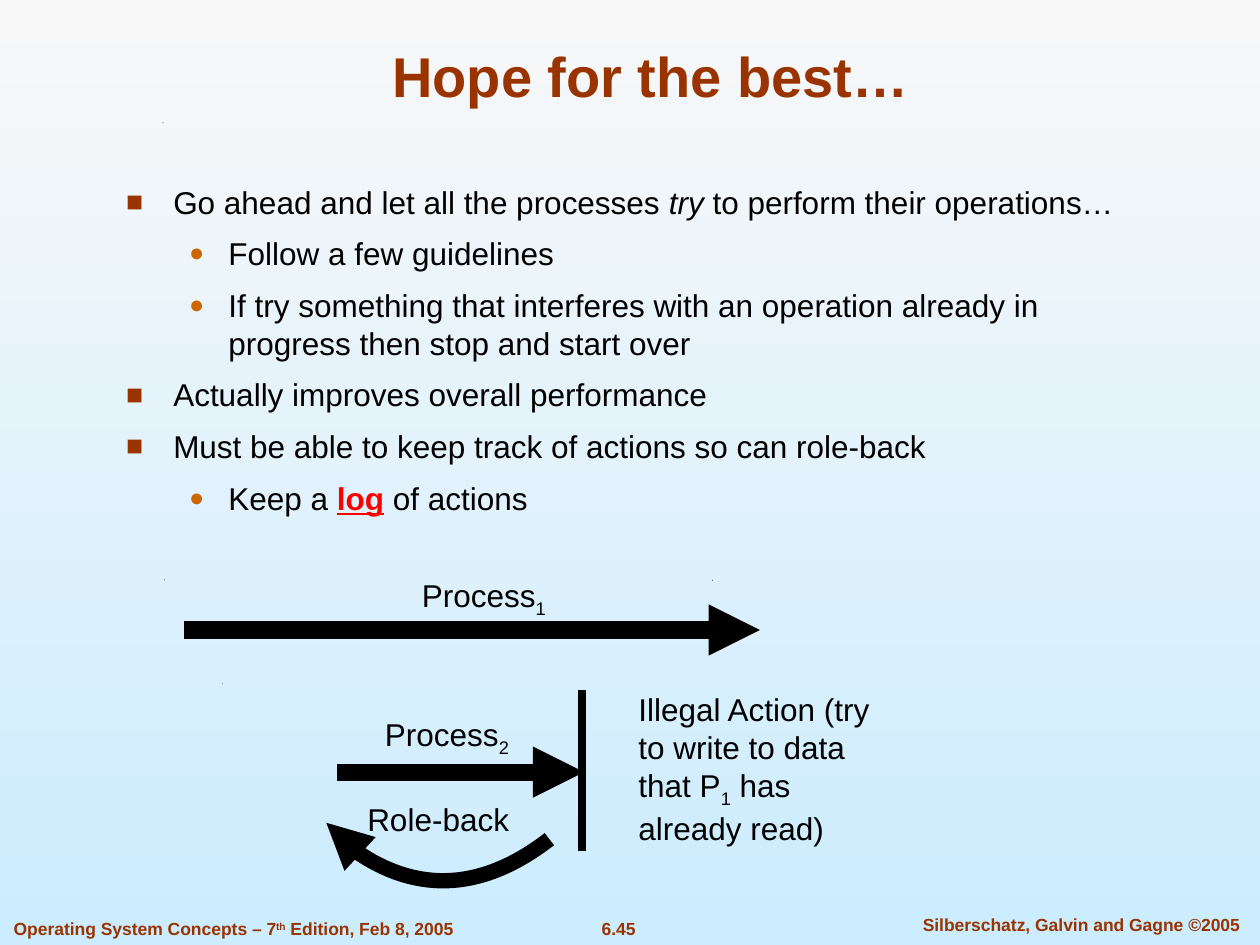
from dataclasses import dataclass

import pptx
import pptx.dml.color
import pptx.enum.dml
import pptx.enum.shapes
import pptx.enum.text
import pptx.oxml
import pptx.oxml.ns
import pptx.util

Pt = pptx.util.Pt
Align = pptx.enum.text.PP_ALIGN
COLORS = {
    "ink": "000000", "rust": "993300", "orange": "CC6600", "red": "FF0000",
    "sky_top": "F8F8F8", "sky_bottom": "CCECFF",
}
FONT = "Arial"


@dataclass
class Piece:
    """A stretch of text; baseline is in percent, negative for subscripts."""
    text: str
    color: str = "ink"
    bold: bool = False
    italic: bool = False
    underline: bool = False
    baseline: int = 0


@dataclass
class Bullet:
    level: int
    pieces: list[Piece]


@dataclass
class Label:
    left: float
    top: float
    width: float
    height: float
    pieces: list[Piece]
    size: float = 18
    wrap: bool = False
    align: Align = Align.LEFT


@dataclass
class Line:
    start: tuple[float, float]
    end: tuple[float, float]
    weight: float
    arrow: bool


@dataclass
class BulletStyle:
    margin: float
    hanging: float
    symbol: str
    color: str
    percent: int


BULLET_STYLES = [
    BulletStyle(27, 27, "■", "rust", 90),
    BulletStyle(58.5, 22.5, "●", "orange", 80),
]
BULLETS = [
    Bullet(0, [Piece("Go ahead and let all the processes "), Piece("try", italic=True),
               Piece(" to perform their operations…")]),
    Bullet(1, [Piece("Follow a few guidelines")]),
    Bullet(1, [Piece("If try something that interferes with an operation already in "
                     "progress then stop and start over")]),
    Bullet(0, [Piece("Actually improves overall performance")]),
    Bullet(0, [Piece("Must be able to keep track of actions so can role-back")]),
    Bullet(1, [Piece("Keep a "), Piece("log", "red", bold=True, underline=True),
               Piece(" of actions")]),
]
LABELS = [
    Label(318.2, 521, 70.6, 19.4, [Piece("6.45", "rust", True)], 10, align=Align.CENTER),
    Label(511, 518.8, 213.8, 19.4,
          [Piece("Silberschatz, Galvin and Gagne ©2005", "rust", True)],
          10, wrap=True, align=Align.CENTER),
    Label(0.7, 521, 265.7, 19.4,
          [Piece("Operating System Concepts – 7", "rust", True),
           Piece("th", "rust", True, baseline=30),
           Piece(" Edition, Feb 8, 2005", "rust", True)], 10),
    Label(234, 325.5, 85, 31.7, [Piece("Process"), Piece("1", baseline=-25)]),
    Label(212.9, 405, 85, 31.7, [Piece("Process"), Piece("2", baseline=-25)]),
    Label(357.8, 391, 146.2, 96.5,
          [Piece("Illegal Action (try to write to data that P"),
           Piece("1", baseline=-25), Piece(" has already read)")], wrap=True),
    Label(202.8, 453.6, 98, 28.8, [Piece("Role-back")]),
]
LINES = [
    Line((105, 360), (434.2, 360), 9.75, True),
    Line((192.5, 441.2), (333.8, 441.2), 9.75, True),
    Line((332.6, 394.3), (332.6, 486), 5, False),
]
ROLL_BACK_CURVE = [(313.92, 479.52), (272.16, 511.92), (215.28, 507.6), (186.48, 470.16)]
SPECKS = [(126.9, 390.6), (93.8, 331.2), (407, 331.4), (92.9, 70)]


def rgb(name: str) -> pptx.dml.color.RGBColor:
    return pptx.dml.color.RGBColor.from_string(COLORS[name])


def place(shape, left: float, top: float, width: float, height: float) -> None:
    shape.left, shape.top, shape.width, shape.height = map(Pt, (left, top, width, height))


def write_pieces(paragraph, pieces: list[Piece], size: float) -> None:
    for piece in pieces:
        run = paragraph.add_run()
        run.text = piece.text
        font = run.font
        font.name, font.size = FONT, Pt(size)
        font.bold, font.italic, font.underline = piece.bold, piece.italic, piece.underline
        font.color.rgb = rgb(piece.color)
        if piece.baseline:
            run._r.get_or_add_rPr().set("baseline", str(piece.baseline * 1000))


def set_bullet(paragraph, style: BulletStyle) -> None:
    properties = paragraph._p.get_or_add_pPr()
    properties.set("marL", str(Pt(style.margin)))
    properties.set("indent", str(-Pt(style.hanging)))
    namespace = pptx.oxml.ns.nsdecls("a")
    for xml in (
        f'<a:buClr {namespace}><a:srgbClr val="{COLORS[style.color]}"/></a:buClr>',
        f'<a:buSzPct {namespace} val="{style.percent * 1000}"/>',
        f'<a:buFont {namespace} typeface="{FONT}"/>',
        f'<a:buChar {namespace} char="{style.symbol}"/>',
    ):
        properties.append(pptx.oxml.parse_xml(xml))


def fill_title(title) -> None:
    place(title, 54, 17.6, 635.8, 48.2)
    frame = title.text_frame
    frame.auto_size = pptx.enum.text.MSO_AUTO_SIZE.NONE
    frame.vertical_anchor = pptx.enum.text.MSO_ANCHOR.BOTTOM
    frame.paragraphs[0].alignment = Align.CENTER
    write_pieces(frame.paragraphs[0], [Piece("Hope for the best…", "rust", True)], 32)


def fill_body(body) -> None:
    place(body, 64.8, 100.8, 578.9, 352.8)
    frame = body.text_frame
    frame.auto_size = pptx.enum.text.MSO_AUTO_SIZE.NONE
    for index, bullet in enumerate(BULLETS):
        paragraph = frame.add_paragraph() if index else frame.paragraphs[0]
        paragraph.level = bullet.level
        set_bullet(paragraph, BULLET_STYLES[bullet.level])
        paragraph.space_before = Pt(7.9 if index else 0)
        write_pieces(paragraph, bullet.pieces, 18)


def add_label(slide, label: Label) -> None:
    box = slide.shapes.add_textbox(
        *map(Pt, (label.left, label.top, label.width, label.height)))
    frame = box.text_frame
    frame.word_wrap = label.wrap
    frame.auto_size = pptx.enum.text.MSO_AUTO_SIZE.SHAPE_TO_FIT_TEXT
    frame.paragraphs[0].alignment = label.align
    write_pieces(frame.paragraphs[0], label.pieces, label.size)


def style_line(shape, weight: float, arrow: bool) -> None:
    shape.line.color.rgb = rgb("ink")
    shape.line.width = Pt(weight)
    if arrow:
        shape.line._get_or_add_ln().append(pptx.oxml.parse_xml(
            f'<a:tailEnd {pptx.oxml.ns.nsdecls("a")} type="triangle"/>'))


def add_line(slide, line: Line) -> None:
    connector = slide.shapes.add_connector(
        pptx.enum.shapes.MSO_CONNECTOR.STRAIGHT, *map(Pt, line.start + line.end))
    style_line(connector, line.weight, line.arrow)
    connector._element.spPr.append(
        pptx.oxml.parse_xml(f'<a:effectLst {pptx.oxml.ns.nsdecls("a")}/>'))


def add_outline(slide, points: list[tuple[float, float]], close: bool):
    first, *rest = [(Pt(x), Pt(y)) for x, y in points]
    builder = slide.shapes.build_freeform(*first)
    builder.add_line_segments(rest, close=close)
    shape = builder.convert_to_shape()
    shape.shadow.inherit = False
    return shape


def add_curved_arrow(slide, points: list[tuple[float, float]], weight: float) -> None:
    """Join the first and last points by a Bézier curve steered by the middle two."""
    shape = add_outline(slide, points, close=False)
    shape.fill.background()
    style_line(shape, weight, arrow=True)
    segments = shape._element.findall(".//" + pptx.oxml.ns.qn("a:lnTo"))
    curve = pptx.oxml.parse_xml(f'<a:cubicBezTo {pptx.oxml.ns.nsdecls("a")}/>')
    segments[0].addprevious(curve)
    for segment in segments:
        curve.append(segment[0])
        segment.getparent().remove(segment)


def add_speck(slide, left: float, top: float) -> None:
    speck = add_outline(slide, [(left, top + 0.5), (left + 0.5, top), (left, top)], close=True)
    speck.fill.solid()
    speck.fill.fore_color.rgb = rgb("ink")
    speck.line.fill.background()


def main() -> None:
    presentation = pptx.Presentation()
    presentation.slide_width, presentation.slide_height = Pt(720), Pt(540)
    slide = presentation.slides.add_slide(presentation.slide_layouts[1])
    background = slide.background.fill
    background.gradient()
    background.gradient_angle = 270
    for stop, name in zip(background.gradient_stops, ("sky_top", "sky_bottom")):
        stop.color.rgb = rgb(name)
    fill_title(slide.shapes.title)
    fill_body(slide.placeholders[1])
    for speck in SPECKS:
        add_speck(slide, *speck)
    for line in LINES:
        add_line(slide, line)
    add_curved_arrow(slide, ROLL_BACK_CURVE, 8.75)
    for label in LABELS:
        add_label(slide, label)
    presentation.save("out.pptx")


if __name__ == "__main__":
    main()
